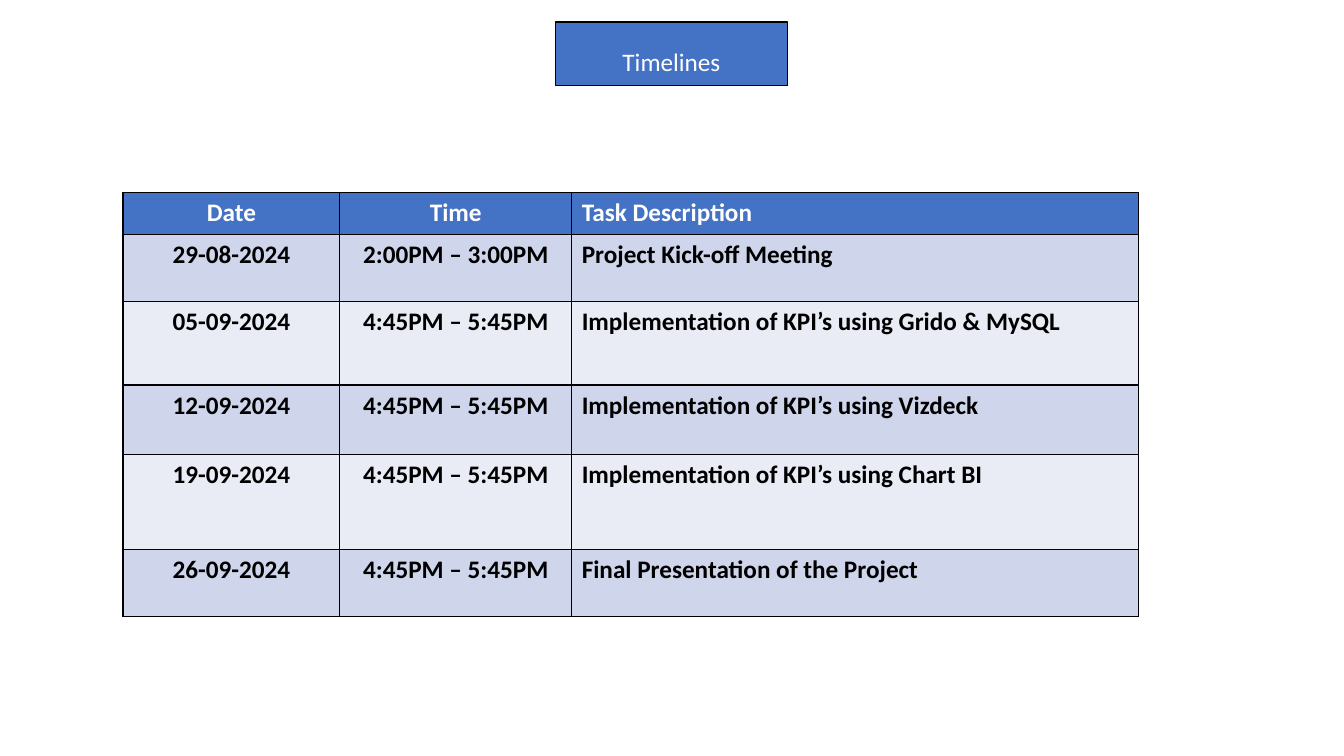
"""Build the project timelines slide."""
from dataclasses import dataclass

from lxml import etree
from pptx import Presentation
from pptx.dml.color import RGBColor
from pptx.enum import shapes, text
from pptx.oxml import ns
from pptx.util import Pt

EMU_PER_PX = 9144
BLUE, BLACK, WHITE = "4472C4", "000000", "FFFFFF"
BANDS = ("CFD5EA", "E9EBF5")
LINE_WIDTH = Pt(1)
COLUMN_WIDTHS = (215, 230, 562)
ALIGNMENTS = (text.PP_ALIGN.CENTER, text.PP_ALIGN.CENTER, text.PP_ALIGN.LEFT)
TABLE_LEFT, TABLE_TOP = 122, 191
AFTERNOON = "4:45PM – 5:45PM"


@dataclass(frozen=True)
class Row:
    """One line of the timetable."""

    height: int
    date: str
    time: str
    task: str


ROWS = (
    Row(42, "Date", "Time", "Task Description"),
    Row(66, "29-08-2024", "2:00PM – 3:00PM", "Project Kick-off Meeting"),
    Row(83, "05-09-2024", AFTERNOON, "Implementation of KPI’s using Grido & MySQL"),
    Row(69, "12-09-2024", AFTERNOON, "Implementation of KPI’s using Vizdeck"),
    Row(94, "19-09-2024", AFTERNOON, "Implementation of KPI’s using Chart BI"),
    Row(67, "26-09-2024", AFTERNOON, "Final Presentation of the Project"),
)


def px(length: int) -> int:
    """Turn px into EMU."""
    return length * EMU_PER_PX


def color(value: str) -> RGBColor:
    """Turn a hex string into a colour."""
    return RGBColor.from_string(value)


def fill_with(target, value: str) -> None:
    """Give a shape, cell or line a solid fill."""
    target.fill.solid()
    target.fill.fore_color.rgb = color(value)


def write(frame, content: str, alignment, value: str, bold: bool = False):
    """Write one formatted paragraph and return it."""
    paragraph = frame.paragraphs[0]
    paragraph.alignment = alignment
    run = paragraph.add_run()
    run.text = content
    formats = {"name": "Calibri", "size": Pt(18), "bold": bold}
    for name, setting in formats.items():
        setattr(run.font, name, setting)
    run.font.color.rgb = color(value)
    return paragraph


def add_borders(cell) -> None:
    """Outline all four sides of a cell."""
    properties = cell._tc.get_or_add_tcPr()
    for side in ("a:lnL", "a:lnR", "a:lnT", "a:lnB"):
        line = etree.SubElement(properties, ns.qn(side), w=str(LINE_WIDTH))
        solid = etree.SubElement(line, ns.qn("a:solidFill"))
        etree.SubElement(solid, ns.qn("a:srgbClr"), val=BLACK)


def add_timetable(slide) -> None:
    """Draw the table of dates and tasks."""
    height = sum(row.height for row in ROWS)
    box = (TABLE_LEFT, TABLE_TOP, sum(COLUMN_WIDTHS), height)
    table = slide.shapes.add_table(len(ROWS), len(COLUMN_WIDTHS), *map(px, box)).table
    for column, width in zip(table.columns, COLUMN_WIDTHS):
        column.width = px(width)
    for index, row in enumerate(ROWS):
        table.rows[index].height = px(row.height)
        fill = BANDS[(index - 1) % 2] if index else BLUE
        ink = BLACK if index else WHITE
        contents = (row.date, row.time, row.task)
        for cell, content, alignment in zip(table.rows[index].cells, contents, ALIGNMENTS):
            add_borders(cell)
            fill_with(cell, fill)
            write(cell.text_frame, content, alignment, ink, bold=True)


def add_title(slide) -> None:
    """Draw the title box."""
    box = map(px, (551, 22, 230, 63))
    shape = slide.shapes.add_shape(shapes.MSO_SHAPE.RECTANGLE, *box)
    shape.shadow.inherit = False
    fill_with(shape, BLUE)
    fill_with(shape.line, BLACK)
    shape.line.width = LINE_WIDTH
    paragraph = write(shape.text_frame, "Timelines", text.PP_ALIGN.CENTER, WHITE)
    paragraph.line_spacing = 1.5


def main() -> None:
    """Build and save the presentation."""
    presentation = Presentation()
    presentation.slide_width, presentation.slide_height = px(1333), px(750)
    slide = presentation.slides.add_slide(presentation.slide_layouts[6])
    add_timetable(slide)
    add_title(slide)
    presentation.save("out.pptx")


if __name__ == "__main__":
    main()
